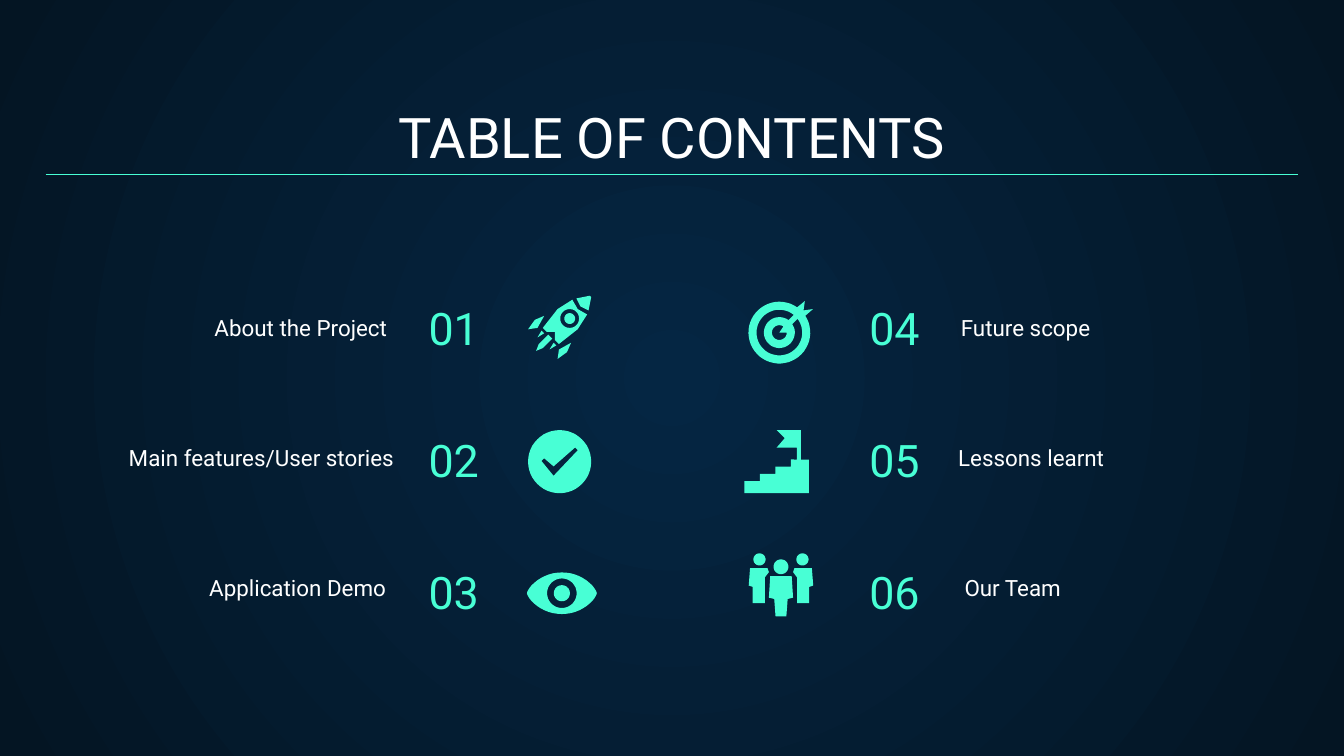
from math import cos, sin, pi, radians
from lxml.etree import SubElement
from pptx import Presentation
from pptx.dml.color import RGBColor
from pptx.enum.shapes import MSO_CONNECTOR
from pptx.enum.text import MSO_ANCHOR, PP_ALIGN
from pptx.oxml.ns import qn
from pptx.util import Cm, Pt

COLORS = {"text": "FFFFFF", "mint": "48FFD5", "glow": "052643", "edge": "041523"}
FONT = "Roboto"
LEFT, MID, RIGHT = PP_ALIGN.LEFT, PP_ALIGN.CENTER, PP_ALIGN.RIGHT


def color(name):
    return RGBColor.from_string(COLORS[name])


def write(frame, words, size=12, tint="text", align=LEFT):
    frame.word_wrap = True
    frame.vertical_anchor = MSO_ANCHOR.BOTTOM
    frame.margin_left = frame.margin_right = Cm(0.25)
    frame.margin_top = frame.margin_bottom = Cm(0.25)
    para = frame.paragraphs[0]
    para.alignment = align
    run = para.add_run()
    run.text = words
    run.font.name, run.font.size = FONT, Pt(size)
    run.font.color.rgb = color(tint)


# Icon outlines are in hundredths of an inch, from the icon's top left corner
def arc(x, y, r, start=0, end=360, steps=48):
    turns = [radians(start + (end - start) * i / steps) for i in range(steps + 1)]
    return [(x + r * cos(t), y + r * sin(t)) for t in turns]


def across(points):
    """Mirror left to right about the middle of the team."""
    return [(48 - x, y) for x, y in points]


def slant(points):
    """Mirror about the rocket's diagonal axis."""
    return [(47 - y, 47 - x) for x, y in points]


def whole(half, flip):
    return half + flip(half)[::-1]


class Deck:
    def __init__(self):
        self.file = Presentation()
        self.file.slide_width, self.file.slide_height = Cm(25.4), Cm(14.29)
        self.slide = self.file.slides.add_slide(self.file.slide_layouts[6])
        self.shapes = self.slide.shapes

    def glow(self, inner, outer):
        fill = self.slide.background.fill
        fill.gradient()
        for stop, name in zip(fill.gradient_stops, (inner, outer)):
            stop.color.rgb = color(name)
        grad = next(self.slide.element.iter(qn("a:gradFill")))
        grad.remove(grad.find(qn("a:lin")))
        way = SubElement(grad, qn("a:path"), path="circle")
        SubElement(way, qn("a:fillToRect"), {side: "50000" for side in "ltrb"})

    def text(self, words, x, y, w, h, **style):
        box = self.shapes.add_textbox(Cm(x), Cm(y), Cm(w), Cm(h))
        write(box.text_frame, words, **style)

    def line(self, x1, y1, x2, y2):
        rule = self.shapes.add_connector(MSO_CONNECTOR.STRAIGHT, Cm(x1), Cm(y1), Cm(x2), Cm(y2))
        rule.line.color.rgb, rule.line.width = color("mint"), Pt(0.75)
        SubElement(rule.element.spPr, qn("a:effectLst"))

    def icon(self, x, y, parts):
        home = self.shapes.add_group_shape().shapes if len(parts) > 1 else self.shapes
        for part in parts:
            pen = None
            for outline in part:
                dots = [(px * 10, py * 10) for px, py in outline]
                if pen is None:
                    pen = home.build_freeform(*dots[0], scale=Cm(0.00254))
                else:
                    pen.move_to(*dots[0])
                pen.add_line_segments(dots[1:], close=True)
            shape = pen.convert_to_shape(Cm(x), Cm(y))
            shape.shadow.inherit = False
            shape.fill.solid()
            shape.fill.fore_color.rgb = color("mint")
            shape.line.fill.background()


# Icons: each is a list of parts, each part a list of outlines (later ones cut holes)
fin = [(12, 15), (5, 18), (0, 25), (7, 24)]
spark = [(10, 26), (7, 31), (12, 28)]
flame = whole([(6, 41), (8, 36), (15, 29)], slant)
hull = whole([(37, 10), (33, 3), (22, 10), (11, 24), (14, 27), (20, 27)], slant)
nose = whole([(39, 8), (36, 2), (46, 0)], slant)
rocket = [[fin], [slant(fin)], [spark], [slant(spark)], [flame], [nose],
          [hull, arc(31, 17, 7)], [arc(31, 17, 4)]]

tick = [(10, 23), (12, 21), (19, 27), (35, 13), (37, 15), (19, 34)]
check = [[arc(23.5, 23.5, 23.5), tick]]

lid = [(26 - 26 * cos(pi * i / 24), 15.5 - 15.5 * sin(pi * i / 24) ** 1.4) for i in range(25)]
eye = [[lid + [(x, 31 - y) for x, y in lid[::-1]], arc(26, 15.5, 11), arc(26, 15.5, 6)]]

hub = (22, 23.5)
target = [[arc(*hub, 23, -33, 305) + [(41, 0), (40, 7), (47, 6)],
           arc(*hub, 17, -37, 309) + arc(*hub, 11.5, 306, -33),
           arc(*hub, 5.5, 0, 303) + [hub]]]

steps = [(11.5 * (i + j), 38 - 5.4 * i) for i in range(4) for j in (0, 1)][:-1]
flag = [(42, 22), (42, 0), (24, 0), (30, 6), (24, 13), (39, 13), (39, 22)]
stairs = [[[(0, 47)] + steps + flag[::-1] + [(48, 22), (48, 47)]]]

side = [(1, 11), (0, 24), (3, 25), (3, 37), (12, 37), (12, 18), (15, 14), (14, 11)]
front = whole([(16, 17), (15, 33), (19, 34), (20, 47)], across)
head = arc(8, 4.5, 4.5)
team = [[head], [side], [across(head)], [across(side)], [front], [arc(24, 10, 5.5)]]

# Rows: label, its left, icon, its left and top (cm)
left = [("About the Project", 1.8, rocket, 9.98, 5.59),
        ("Main features/User stories", 1.93, check, 9.98, 8.13),
        ("Application Demo", 1.78, eye, 9.96, 10.82)]
right = [("Future scope", 17.91, target, 14.17, 5.69),
         ("Lessons learnt", 17.86, stairs, 14.07, 8.13),
         ("Our Team", 17.98, team, 14.15, 10.46)]

deck = Deck()
deck.glow("glow", "edge")

# Heading
deck.text("TABLE OF CONTENTS", 0.86, 1.78, 23.67, 1.68, size=30, align=MID)
deck.line(0.86, 3.3, 24.54, 3.3)

# Two columns of numbered entries
count = 0
for rows, num_x, num_side, tag_side in ((left, 7.85, LEFT, RIGHT), (right, 14.35, RIGHT, LEFT)):
    for i, (label, x, icon, icon_x, icon_y) in enumerate(rows):
        count += 1
        deck.text(f"{count:02}", num_x, 5.28 + 2.49 * i, 3.28, 1.68,
                  size=24, tint="mint", align=num_side)
        deck.text(label, x, 6.16 + 2.46 * i, 5.77, 0.53, align=tag_side)
        deck.icon(icon_x, icon_y, icon)

deck.file.save("out.pptx")
